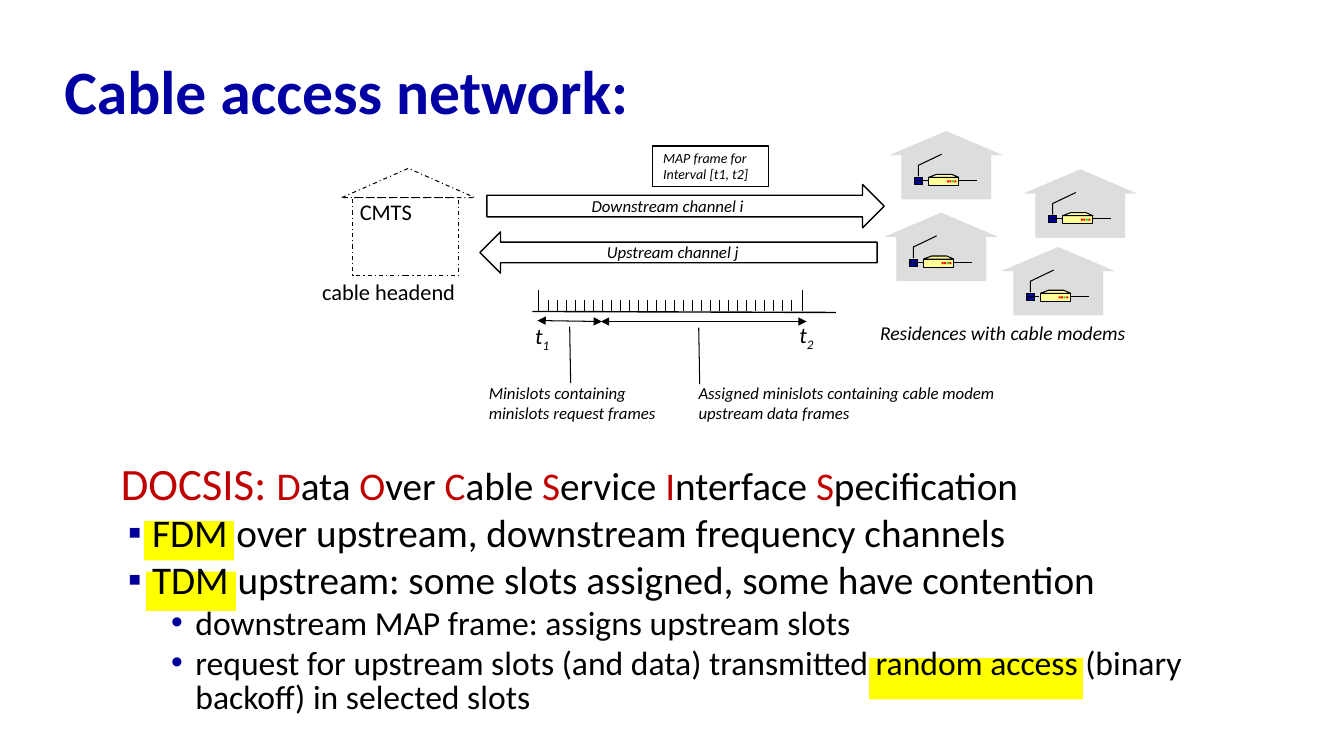
"""Build the slide on the cable access network and DOCSIS."""
from lxml import etree
from pptx import Presentation
from pptx.dml.color import RGBColor
from pptx.enum.dml import MSO_LINE_DASH_STYLE as DASH
from pptx.enum.shapes import MSO_CONNECTOR, MSO_SHAPE as SHAPE
from pptx.enum.text import MSO_ANCHOR, PP_ALIGN
from pptx.oxml.ns import qn
from pptx.util import Inches, Pt

COLORS = {
    "black": "000000", "title": "0000A3", "acronym": "C00000", "navy": "000099",
    "highlight": "FFFF00", "house": "DDDDDD", "modem": "FFFF99",
    "red": "FF0000", "green": "33CC33",
}
RGB = {name: RGBColor.from_string(value) for name, value in COLORS.items()}

prs = Presentation()
prs.slide_width, prs.slide_height = Inches(13.33), Inches(7.5)
shapes = prs.slides.add_slide(prs.slide_layouts[6]).shapes


def paint(shape, fill=None, line=None, dash=None):
    """Set fill and outline; line is a width in points."""
    shape.shadow.inherit = False
    if fill:
        shape.fill.solid()
        shape.fill.fore_color.rgb = RGB[fill]
    else:
        shape.fill.background()
    if line:
        shape.line.color.rgb = RGB["black"]
        shape.line.width = Pt(line)
        if dash:
            shape.line.dash_style = dash
    else:
        shape.line.fill.background()


def add_text(box, paragraphs, size, italic=False, wrap=False, color="black"):
    """Add a text box whose paragraphs are lists of runs."""
    frame = shapes.add_textbox(*map(Inches, box)).text_frame
    frame.word_wrap = wrap
    for i, runs in enumerate(paragraphs):
        paragraph = frame.paragraphs[0] if i == 0 else frame.add_paragraph()
        for run_text in runs:
            paragraph.add_run().text = run_text
        font = paragraph.font
        font.name, font.size, font.italic = "Calibri", Pt(size), italic
        font.color.rgb = RGB[color]
    return frame


for highlight in [(1.43, 5.17, 0.89, 0.39), (1.45, 5.67, 0.89, 0.39), (8.62, 6.53, 2.12, 0.41)]:
    paint(shapes.add_shape(SHAPE.RECTANGLE, *map(Inches, highlight)), "highlight")

title = add_text((0.54, 0.45, 12.63, 0.98), [["Cable access network:"]], 44, wrap=True, color="title")
title.vertical_anchor = MSO_ANCHOR.MIDDLE
title.paragraphs[0].line_spacing = 0.9
title.paragraphs[0].font.bold = True

docsis = shapes.add_textbox(*map(Inches, (1.1, 4.55, 11.33, 2.5))).text_frame
docsis.word_wrap = True
docsis_runs = ["DOCSIS: D", "ata ", "O", "ver ", "C", "able ", "S", "ervice ", "I", "nterface ", "S", "pecification"]
definition = docsis.paragraphs[0]
definition.line_spacing = 0.85
definition.font.name = "Calibri"
acronym, initial = docsis_runs[0][:-1], docsis_runs[0][-1]
for i, part in enumerate([acronym, initial] + docsis_runs[1:]):
    run = definition.add_run()
    run.text = part
    run.font.size = Pt(32 if i == 0 else 28)
    run.font.color.rgb = RGB["acronym" if i == 0 or i % 2 else "black"]

bullets = [
    (0, "FDM over upstream, downstream frequency channels"),
    (0, "TDM upstream: some slots assigned, some have contention"),
    (1, "downstream MAP frame: assigns upstream slots"),
    (1, "request for upstream slots (and data) transmitted random access (binary backoff) in selected slots"),
]
for level, point in bullets:
    paragraph = docsis.add_paragraph()
    paragraph.text = point
    paragraph.level = level
    paragraph.line_spacing = 0.85
    paragraph.space_before = Pt(4 if level else 4.6)
    props = paragraph._p.get_or_add_pPr()
    props.set("marL", str(Inches(0.74 if level else 0.31)))
    props.set("indent", str(Inches(-0.24)))
    bullet_color = etree.SubElement(props, qn("a:buClr"))
    etree.SubElement(bullet_color, qn("a:srgbClr"), val=COLORS["navy"])
    etree.SubElement(props, qn("a:buFont"), typeface="Arial")
    etree.SubElement(props, qn("a:buChar"), char="•" if level else "▪")
    paragraph.font.name, paragraph.font.size = "Calibri", Pt(24 if level else 28)
    paragraph.font.color.rgb = RGB["black"]

diagram = [
    (SHAPE.RIGHT_ARROW, (4.83, 1.83, 3.94, 0.43), 1, None),
    (SHAPE.LEFT_ARROW, (4.76, 2.3, 3.94, 0.41), 1, None),
    (SHAPE.RECTANGLE, (6.47, 1.45, 1.15, 0.4), 1, None),
    (SHAPE.RECTANGLE, (3.5, 1.96, 1.05, 0.77), 0.75, DASH.DASH_DOT),
    (SHAPE.ISOSCELES_TRIANGLE, (3.39, 1.67, 1.32, 0.29), 0.75, DASH.DASH_DOT),
]
for kind, box, width, dash in diagram:
    paint(shapes.add_shape(kind, *map(Inches, box)), line=width, dash=dash)

labels = [
    ((8.63, 3.13, 2.67, 0.34), ["Residences with cable modems"], 14),
    ((5.77, 1.89, 1.73, 0.3), ["Downstream channel i"], 12),
    ((5.92, 2.35, 1.53, 0.3), ["Upstream channel j"], 12),
    ((6.83, 3.75, 3.17, 0.5), ["Assigned minislots containing cable modem", "upstream data frames"], 12),
    ((4.75, 3.75, 1.87, 0.5), ["Minislots containing", "minislots request frames"], 12),
]
for box, rows, size in labels:
    add_text(box, [[row] for row in rows], size, italic=True)

map_frame = add_text((6.48, 1.43, 1.06, 0.44), [["MAP frame for"], ["Interval [t1, t2]"]], 10, italic=True)
for paragraph in map_frame.paragraphs:
    paragraph.line_spacing = Pt(12)

for left, top, subscript in [(5.21, 3.15, "1"), (7.83, 3.14, "2")]:
    time_mark = add_text((left, top, 0.35, 0.37), [["t", subscript]], 16, italic=True)
    time_mark.paragraphs[0].runs[1]._r.get_or_add_rPr().set("baseline", "-25000")

headend = add_text((2.8, 2.76, 2.11, 0.32), [["cable headend"]], 16, wrap=True)
headend.paragraphs[0].alignment = PP_ALIGN.CENTER
headend.paragraphs[0].line_spacing = 0.8
add_text((3.47, 1.92, 1.04, 0.37), [["CMTS"]], 16, wrap=True)

lines = [
    (5.28, 3.09, 8.29, 3.1, 1, False),
    (5.34, 2.88, 5.34, 3.09, 1, False),
    (7.96, 2.88, 7.96, 3.09, 1, False),
    (5.33, 3.18, 5.97, 3.19, 0.75, True),
    (5.96, 3.19, 8, 3.19, 0.75, True),
    (6.93, 3.25, 6.94, 3.81, 0.75, False),
    (5.65, 3.24, 5.66, 3.8, 0.75, False),
]
minislots = 28
for i in range(minislots):
    x = 5.44 + (7.85 - 5.44) * i / (minislots - 1)
    lines.append((x, 2.98, x, 3.09, 1, False))

house_parts = [
    (SHAPE.ISOSCELES_TRIANGLE, (0, 0, 1.13, 0.24), "house", None),
    (SHAPE.RECTANGLE, (0.12, 0.21, 0.89, 0.47), "house", None),
    (SHAPE.RECTANGLE, (0.39, 0.46, 0.3, 0.08), "modem", 0.75),
    (SHAPE.RECTANGLE, (0.25, 0.46, 0.08, 0.07), "navy", 0.75),
]
for i, light in enumerate(["red", "red", "green", "red"]):
    house_parts.append((SHAPE.RECTANGLE, (0.57 + 0.025 * i, 0.49, 0.02, 0.02), light, None))
outlines = [
    ([(0.69, 0.46), (0.62, 0.43), (0.47, 0.43), (0.39, 0.46)], True, "modem"),
    ([(0.29, 0.45), (0.29, 0.34), (0.52, 0.23)], False, None),
]
for left, top in [(8.82, 1.3), (10.15, 1.68), (9.93, 2.45), (8.77, 2.11)]:
    for kind, (x, y, width, height), fill, line in house_parts:
        paint(shapes.add_shape(kind, *map(Inches, (left + x, top + y, width, height))), fill, line)
    for points, closed, fill in outlines:
        corners = [(Inches(left + x), Inches(top + y)) for x, y in points]
        builder = shapes.build_freeform(*corners[0])
        builder.add_line_segments(corners[1:], close=closed)
        paint(builder.convert_to_shape(), fill, 0.75)
    for start, end in [(0.69, 0.87), (0.26, 0.38)]:
        lines.append((left + start, top + 0.49, left + end, top + 0.49, 0.75, False))

for x1, y1, x2, y2, width, arrows in lines:
    connector = shapes.add_connector(MSO_CONNECTOR.STRAIGHT, *map(Inches, (x1, y1, x2, y2)))
    connector.line.color.rgb = RGB["black"]
    connector.line.width = Pt(width)
    if arrows:
        for end in ("a:headEnd", "a:tailEnd"):
            etree.SubElement(connector.line._get_or_add_ln(), qn(end), type="triangle")
    etree.SubElement(connector._element.spPr, qn("a:effectLst"))

prs.save("out.pptx")
